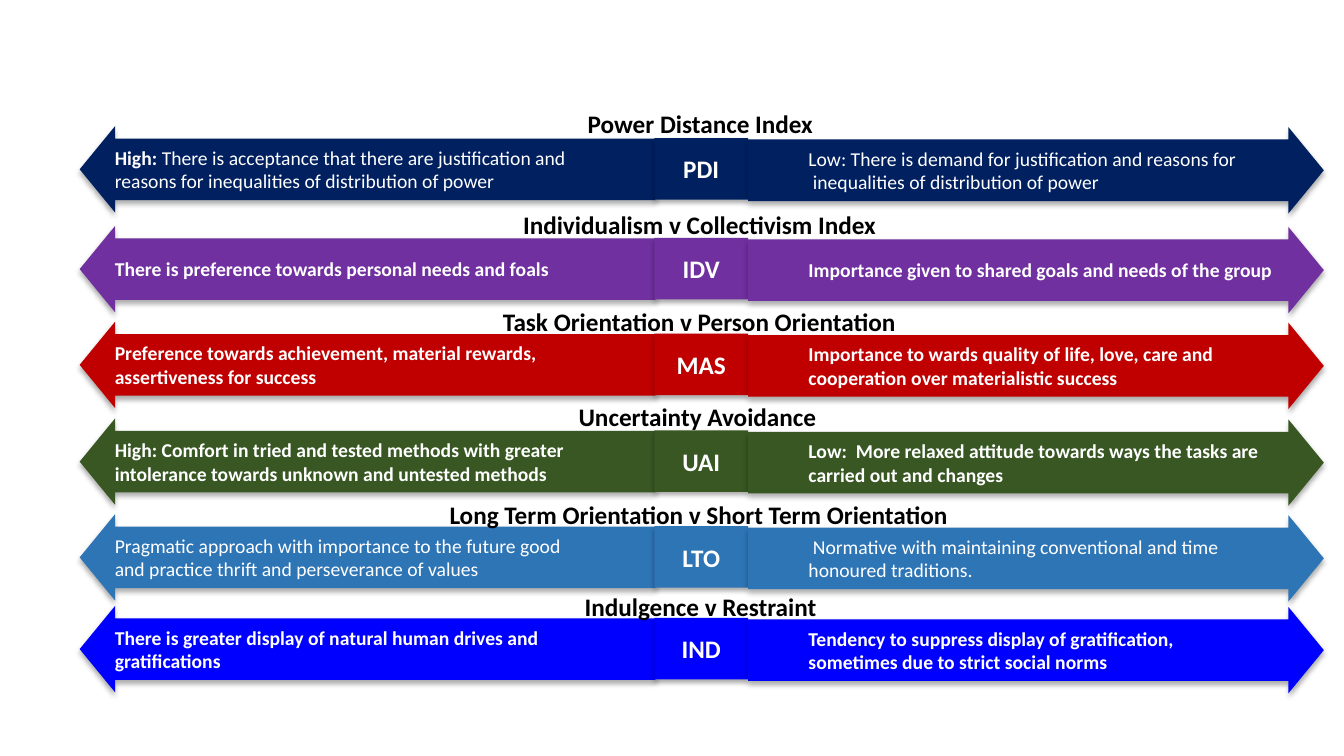
"""Build a slide of six cultural dimensions, each shown as a pair of opposing arrows."""
import pptx
import pptx.util
import pptx.dml.color
import pptx.enum.shapes
import pptx.enum.text
import pptx.oxml

PX = 9144
SHAPES = pptx.enum.shapes.MSO_SHAPE
ALIGN = pptx.enum.text.PP_ALIGN
ANCHOR = pptx.enum.text.MSO_ANCHOR
SHADOW = (
    '<a:outerShdw xmlns:a="http://schemas.openxmlformats.org/drawingml/2006/main" '
    'blurRad="44450" dist="27940" dir="5400000" rotWithShape="0">'
    '<a:srgbClr val="000000"><a:alpha val="32000"/></a:srgbClr></a:outerShdw>'
)


def color(value):
    return pptx.dml.color.RGBColor.from_string(value)


def write(box, lines, size, ink, align=ALIGN.LEFT, indent=0):
    for index, spans in enumerate(lines):
        para = box.text_frame.paragraphs[0] if index == 0 else box.text_frame.add_paragraph()
        para.alignment = align
        if indent:
            para._p.get_or_add_pPr().set("marL", str(indent * PX))
        for text, bold in spans:
            span = para.add_run()
            span.text = text
            span.font.color.rgb = color(ink)
            style = {"name": "Calibri", "size": pptx.util.Pt(size), "bold": bold}
            for name, value in style.items():
                setattr(span.font, name, value)


rows = [
    {
        "code": "PDI", "fill": "002060", "top": 125,
        "title": "Power Distance Index", "title_box": (573, 103, 285),
        "left": [
            [("High: ", True), ("There is acceptance that there are justification and", False)],
            [("reasons for inequalities of distribution of power", False)],
        ],
        "right": [
            [("Low: There is demand for justification and reasons for", False)],
            [(" inequalities of distribution of power", False)],
        ],
    },
    {
        "code": "IDV", "fill": "7030A0", "top": 224,
        "title": "Individualism v Collectivism Index", "title_box": (509, 203, 373),
        "left": [[("There is preference towards personal needs and foals", True)]],
        "right": [[("Importance given to shared goals and needs of the group", True)]],
    },
    {
        "code": "MAS", "fill": "C00000", "top": 319,
        "title": "Task Orientation v Person Orientation", "title_box": (489, 299, 413),
        "left": [[("Preference towards achievement, material rewards, assertiveness for success", True)]],
        "right": [[("Importance to wards quality of life, love, care and cooperation "
                    "over materialistic success", True)]],
    },
    {
        "code": "UAI", "fill": "385723", "top": 415,
        "title": "Uncertainty Avoidance", "title_box": (564, 393, 264),
        "left": [[("High: Comfort in tried and tested methods with greater intolerance "
                   "towards unknown and untested methods", True)]],
        "right": [
            [("Low:  More relaxed attitude towards ways the tasks are", True)],
            [("carried out and changes", True)],
        ],
    },
    {
        "code": "LTO", "fill": "2E75B6", "top": 510,
        "title": "Long Term Orientation v Short Term Orientation", "title_box": (436, 490, 519),
        "left": [
            [("Pragmatic approach with importance to the future good", False)],
            [("and practice thrift and perseverance of values", False)],
        ],
        "right": [
            [(" Normative with maintaining conventional and time", False)],
            [("honoured traditions.", False)],
        ],
    },
    {
        "code": "IND", "fill": "0000FF", "top": 601,
        "title": "Indulgence v Restraint", "title_box": (570, 582, 252),
        "left": [[("There is greater display of natural human drives and gratifications", True)]],
        "right": [
            [("Tendency to suppress display of gratification,", True)],
            [("sometimes due to strict social norms", True)],
        ],
    },
]

deck = pptx.Presentation()
deck.slide_width, deck.slide_height = 1333 * PX, 750 * PX
page = deck.slides.add_slide(deck.slide_layouts[6])

for row in rows:
    top = row["top"]
    code = [[(row["code"], True)]]
    parts = [
        (SHAPES.LEFT_ARROW, (79, top, 571, 86), row["left"], 14, ALIGN.LEFT, 0),
        (SHAPES.RECTANGLE, (649, top + 12, 93, 61), code, 18, ALIGN.CENTER, 0),
        (SHAPES.RIGHT_ARROW, (742, top + 1, 571, 86), row["right"], 14, ALIGN.LEFT, 50),
    ]
    for kind, place, lines, size, align, indent in parts:
        box = page.shapes.add_shape(kind, *[length * PX for length in place])
        if kind != SHAPES.RECTANGLE:
            box.adjustments[0], box.adjustments[1] = 0.71, 0.41
        box.fill.solid()
        box.fill.fore_color.rgb = color(row["fill"])
        box.line.fill.background()
        box.shadow.inherit = False
        box._element.spPr.effectLst.append(pptx.oxml.parse_xml(SHADOW))
        box.text_frame.vertical_anchor = ANCHOR.MIDDLE
        write(box, lines, size, "FFFFFF", align, indent)

    left, title_top, width = row["title_box"]
    heading = page.shapes.add_textbox(left * PX, title_top * PX, width * PX, 40 * PX)
    heading.text_frame.word_wrap = True
    write(heading, [[(row["title"], True)]], 18, "000000")

deck.save("out.pptx")
